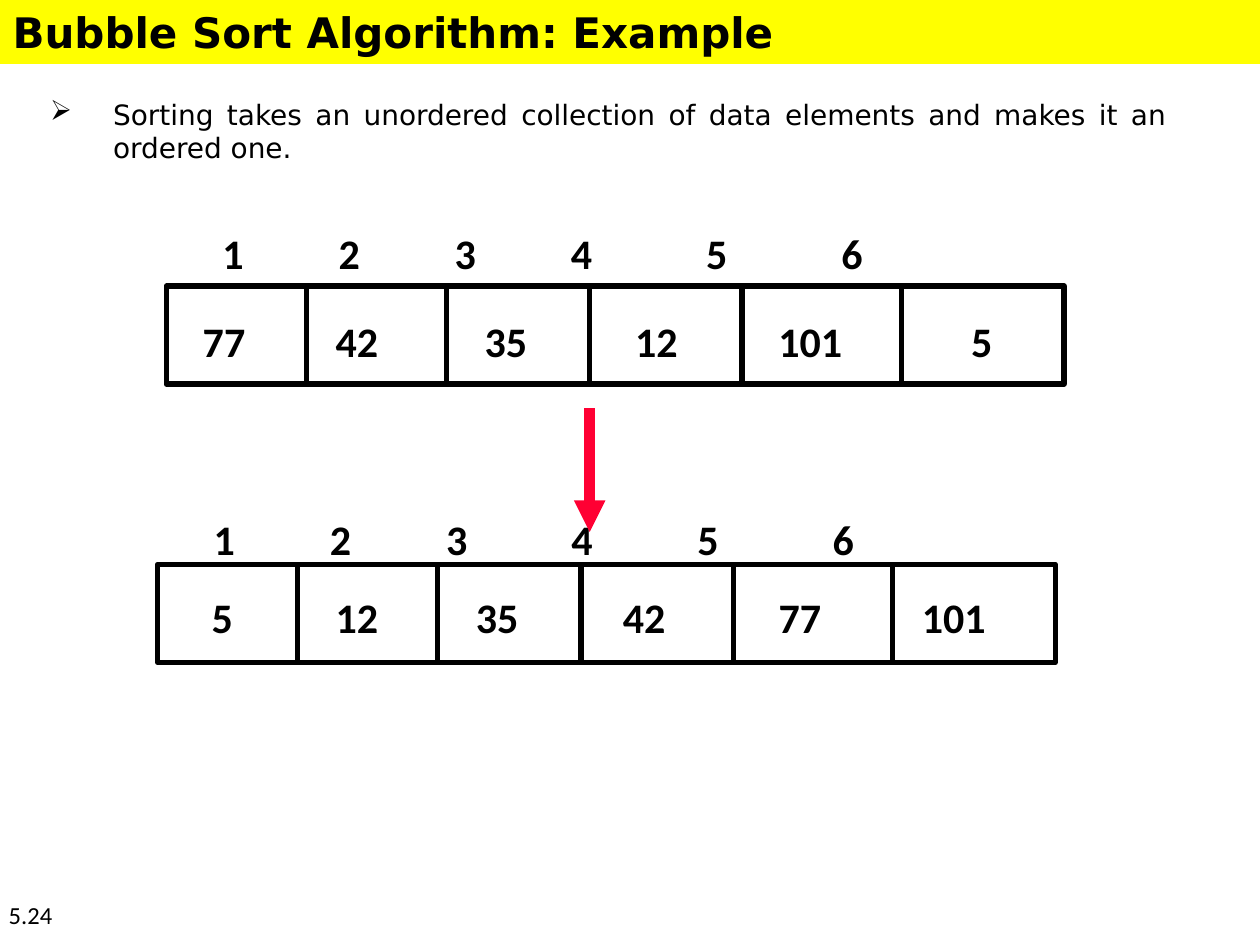
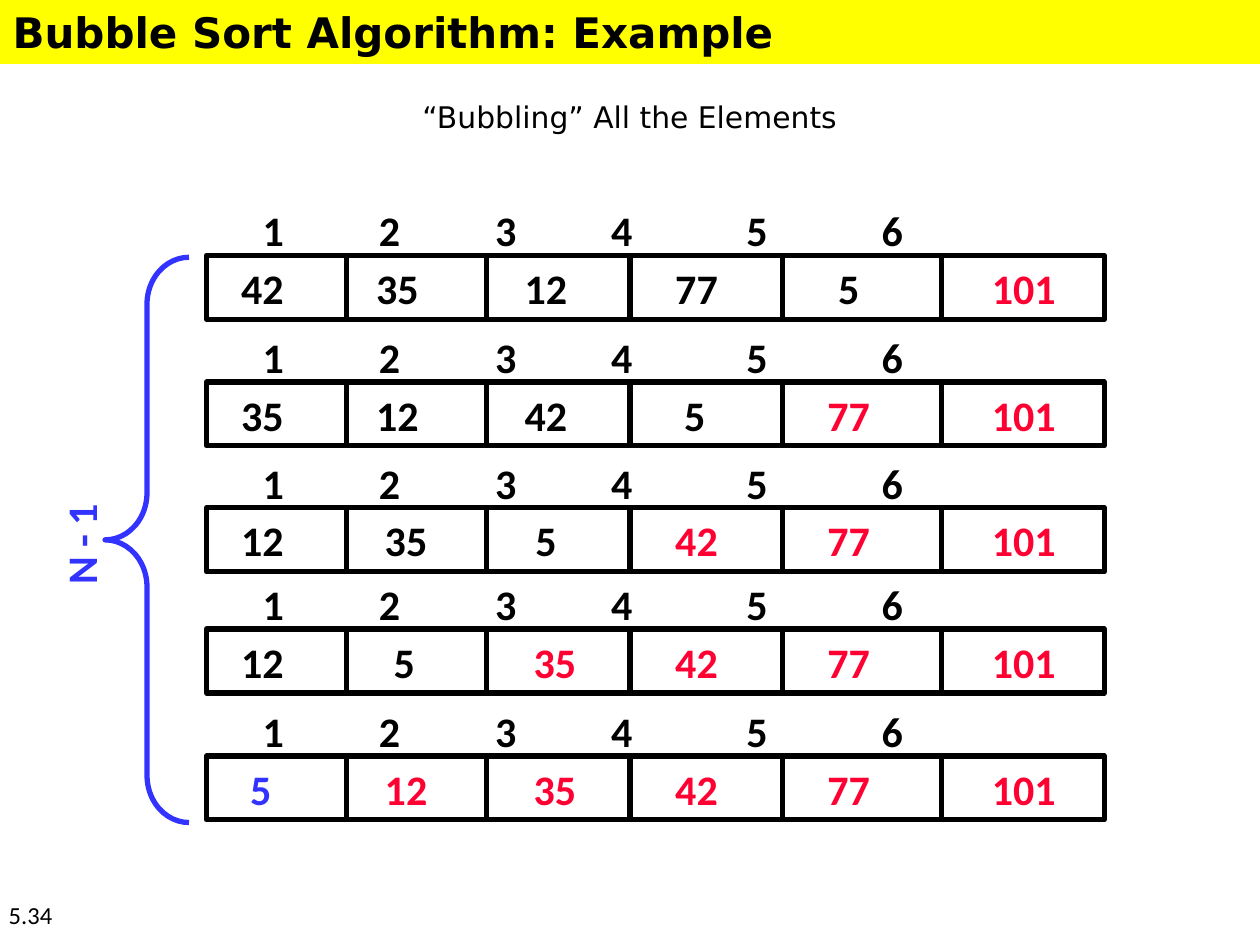
from lxml import etree
from pptx import Presentation
from pptx.dml.color import RGBColor
from pptx.enum.shapes import MSO_CONNECTOR, MSO_SHAPE
from pptx.enum.text import MSO_ANCHOR, MSO_AUTO_SIZE, PP_ALIGN
from pptx.oxml.ns import qn
from pptx.util import Pt

LEFT, CENTER, JUSTIFY = PP_ALIGN.LEFT, PP_ALIGN.CENTER, PP_ALIGN.JUSTIFY
TOP, MIDDLE = MSO_ANCHOR.TOP, MSO_ANCHOR.MIDDLE
STRAIGHT = MSO_CONNECTOR.STRAIGHT

COLORS = {"ink": "000000", "band": "FFFF00", "sorted": "FF0033", "last": "3333FF"}
HEADING_FONT, BODY_FONT = "DejaVu Sans", "Calibri"

HEADING = "Bubble Sort Algorithm: Example"
DEFINITION = ("Sorting takes an unordered collection of data elements "
              "and makes it an ordered one.")
SUBHEADING = "“Bubbling” All the Elements"
PASS_COUNT = "N - 1"

# Horizontal offsets inside an array, measured from its left side
ARRAY_WIDTH = 513
DIVIDERS = (80, 160, 242, 329, 420)
INDEX_TABS = (66.4, 132.8, 199.1, 276.4, 353.7)
SHIFTED_INDEX_TABS = (66.4, 132.8, 204.5, 276.4, 353.7)

UNSORTED = dict(left=95, top=163.5, height=56, index_rise=37, value_drop=13.5,
                values=(77, 42, 35, 12, 101, 5),
                centers=(33, 109, 194, 280, 368, 466))
SORTED = dict(left=90, top=322.5, height=56, index_rise=32.5, value_drop=12,
              values=(5, 12, 35, 42, 77, 101), tabs=SHIFTED_INDEX_TABS,
              centers=(37, 114, 194, 278, 367, 455))
ARROW = (337, 233.3, 337, 304)

# Each pass: top, values, centres of the values
PASSES = [
    (146, (42, 35, 12, 77, 5, 101), (32, 109, 194, 280, 367, 467)),
    (218.3, (35, 12, 42, 5, 77, 101), (32, 109, 194, 279, 367, 467)),
    (290.2, (12, 35, 5, 42, 77, 101), (32, 114, 194, 280, 367, 467)),
    (359.5, (12, 5, 35, 42, 77, 101), (32, 113, 199, 280, 367, 467)),
    (432, (5, 12, 35, 42, 77, 101), (31, 114, 199, 280, 367, 467)),
]


def rgb(name):
    return RGBColor.from_string(COLORS[name])


def write(shape, text, size=24, font=BODY_FONT, color="ink", bold=False,
          align=LEFT, anchor=TOP, wrap=True, tabs=(), bullet=None):
    frame = shape.text_frame
    frame.auto_size = MSO_AUTO_SIZE.NONE
    frame.word_wrap = wrap
    frame.vertical_anchor = anchor
    frame.margin_left = frame.margin_right = Pt(7.2)
    frame.margin_top = frame.margin_bottom = Pt(3.6)
    paragraph = frame.paragraphs[0]
    paragraph.text = text
    paragraph.alignment = align
    properties = paragraph._p.get_or_add_pPr()
    if bullet:
        properties.set("marL", str(Pt(36)))
        properties.set("indent", str(-Pt(36)))
        etree.SubElement(properties, qn("a:buChar"), char=bullet)
    if tabs:
        tab_list = etree.SubElement(properties, qn("a:tabLst"))
        for position in tabs:
            etree.SubElement(tab_list, qn("a:tab"), pos=str(Pt(position)), algn="l")
    paragraph.font.size = Pt(size)
    paragraph.font.name = font
    paragraph.font.bold = bold
    paragraph.font.color.rgb = rgb(color)


def add_text(slide, left, top, width, height, text, **text_format):
    box = slide.shapes.add_textbox(Pt(left), Pt(top), Pt(width), Pt(height))
    write(box, text, **text_format)
    return box


def add_outline(slide, kind, left, top, width, height, color="ink"):
    shape = slide.shapes.add_shape(kind, Pt(left), Pt(top), Pt(width), Pt(height))
    shape.shadow.inherit = False
    shape.fill.background()
    shape.line.color.rgb = rgb(color)
    shape.line.width = Pt(3)
    return shape


def add_line(slide, x1, y1, x2, y2, color="ink", width=3, arrow=False):
    connector = slide.shapes.add_connector(STRAIGHT, Pt(x1), Pt(y1), Pt(x2), Pt(y2))
    connector.line.color.rgb = rgb(color)
    connector.line.width = Pt(width)
    if arrow:
        line = connector.line._get_or_add_ln()
        etree.SubElement(line, qn("a:tailEnd"), type="triangle")
    etree.SubElement(connector._element.spPr, qn("a:effectLst"))


def add_array(slide, left, top, height, values, centers, index_rise=32.5,
              value_drop=0.5, tabs=INDEX_TABS, colors=None):
    """Draw one array: its frame, dividers, index numbers and values."""
    add_outline(slide, MSO_SHAPE.RECTANGLE, left, top, ARRAY_WIDTH, height)
    for offset in DIVIDERS:
        add_line(slide, left + offset, top, left + offset, top + height)
    indexes = "\t".join(str(index + 1) for index in range(len(values)))
    add_text(slide, left + 25, top - index_rise, 452, 36, indexes, bold=True, tabs=tabs)
    colors = colors or ["ink"] * len(values)
    for value, center, color in zip(values, centers, colors):
        width = 14.4 + 12.2 * len(str(value))
        add_text(slide, left + center - width / 2, top + value_drop, width, 36,
                 str(value), color=color, bold=True, align=CENTER, wrap=False)


def add_slide(presentation, number):
    """Add a slide with the shared title band and page number."""
    slide = presentation.slides.add_slide(presentation.slide_layouts[5])
    title = slide.shapes.title
    title.left, title.top, title.width, title.height = Pt(0), Pt(0), Pt(720), Pt(36.6)
    title.fill.solid()
    title.fill.fore_color.rgb = rgb("band")
    write(title, HEADING, font=HEADING_FONT, bold=True, anchor=MIDDLE)
    page = add_text(slide, 0, 510.5, 57, 29.5, number, size=14)
    page.text_frame.margin_left = Pt(5)
    return slide


def build_goal_slide(presentation):
    slide = add_slide(presentation, "5.24")
    add_text(slide, 21.6, 52, 652.4, 90, DEFINITION, size=16, font=HEADING_FONT,
             align=JUSTIFY, bullet="➢")
    add_array(slide, **UNSORTED)
    add_array(slide, **SORTED)
    add_line(slide, *ARROW, color="sorted", width=6, arrow=True)


def build_passes_slide(presentation):
    slide = add_slide(presentation, "5.34")
    add_text(slide, 36, 51, 648, 31, SUBHEADING, size=17, font=HEADING_FONT,
             align=CENTER, anchor=MIDDLE)
    for done, (top, values, centers) in enumerate(PASSES, start=1):
        colors = ["ink"] * (len(values) - done) + ["sorted"] * done
        if done == len(PASSES):
            colors[0] = "last"
        add_array(slide, 118, top, 36.5, values, centers, colors=colors)
    brace = add_outline(slide, MSO_SHAPE.LEFT_BRACE, 60, 147, 48, 323, color="last")
    brace.adjustments[0] = 0.56
    label = add_text(slide, 13, 293, 66, 36, PASS_COUNT, color="last", bold=True,
                     align=CENTER, wrap=False)
    label.rotation = 270


def main():
    presentation = Presentation()
    presentation.slide_width, presentation.slide_height = Pt(720), Pt(540)
    build_goal_slide(presentation)
    build_passes_slide(presentation)
    presentation.save("out.pptx")


if __name__ == "__main__":
    main()
